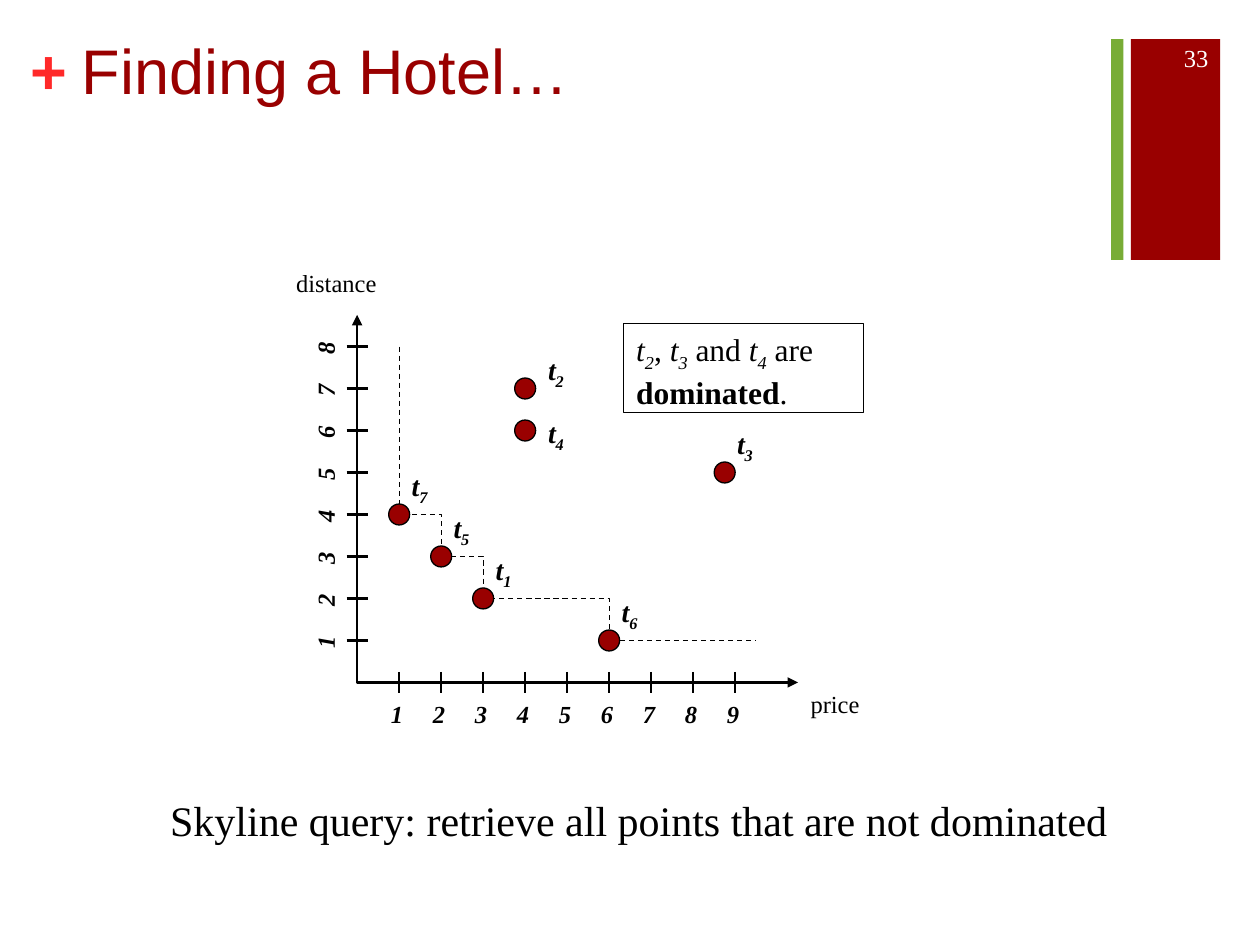
from collections import namedtuple
from dataclasses import dataclass

from lxml import etree
from pptx import Presentation
from pptx import util as u
from pptx.dml.color import RGBColor
from pptx.enum import dml, shapes, text
from pptx.oxml import ns

Box = namedtuple("Box", "left top width height")
Point = namedtuple("Point", "number price distance shift", defaults=[(0, 1.25)])


@dataclass(frozen=True)
class Theme:
    dark_red: str = "990000"
    bright_red: str = "FF2929"
    green: str = "78AC35"
    black: str = "000000"
    white: str = "FFFFFF"
    sans: str = "Arial"
    serif: str = "Times New Roman"
    title: int = 36
    statement: int = 24
    legend: int = 18
    point: int = 16
    small: int = 14
    axis_line: float = 1.5
    thin_line: float = 0.75


THEME = Theme()
TICK = 2.54 / 3  # centimetres for one step on either axis
TICK_SIZE = TICK / 2
PRICES, DISTANCES = range(1, 10), range(1, 9)
SKYLINE = [Point("7", 1, 4), Point("5", 2, 3), Point("1", 3, 2), Point("6", 6, 1)]
DOMINATED = [
    Point("4", 4, 6, (0.25, 0.5)),
    Point("2", 4, 7, (0.25, 1)),
    Point("3", 8.75, 5),
]


def lengths(*values):
    return [u.Cm(value) for value in values]


def add_child(parent, tag, **attributes):
    return etree.SubElement(parent, ns.qn(tag), **attributes)


def write(frame, content, size, color=THEME.black, font=THEME.serif, bold=False,
          italic=False, align=text.PP_ALIGN.LEFT, anchor=text.MSO_ANCHOR.TOP,
          inset=(0.25, 0.13)):
    """Write a string, or a list of (string, format) pairs, as one paragraph."""
    frame.word_wrap = True
    frame.vertical_anchor = anchor
    frame.margin_left = frame.margin_right = u.Cm(inset[0])
    frame.margin_top = frame.margin_bottom = u.Cm(inset[1])
    paragraph = frame.paragraphs[0]
    paragraph.alignment = align
    for words, style in [(content, {})] if isinstance(content, str) else content:
        run = paragraph.add_run()
        run.text = words
        run.font.size = u.Pt(size)
        run.font.name = font
        run.font.color.rgb = RGBColor.from_string(color)
        run.font.bold = style.get("bold", bold)
        run.font.italic = style.get("italic", italic)
        if style.get("subscript"):
            run.font._element.set("baseline", "-25000")
    return paragraph


def add_text(slide, box, content, size, **style):
    shape = slide.shapes.add_textbox(*lengths(*box))
    write(shape.text_frame, content, size, **style)
    return shape


def paint(shape, fill=None, line=None, width=THEME.thin_line):
    shape.shadow.inherit = False
    if fill:
        shape.fill.solid()
        shape.fill.fore_color.rgb = RGBColor.from_string(fill)
    else:
        shape.fill.background()
    if line:
        shape.line.color.rgb = RGBColor.from_string(line)
        shape.line.width = u.Pt(width)
    else:
        shape.line.fill.background()


def add_shape(slide, kind, box, **style):
    shape = slide.shapes.add_shape(kind, *lengths(*box))
    paint(shape, **style)
    return shape


def add_path(slide, points, width):
    start, *rest = [lengths(*point) for point in points]
    builder = slide.shapes.build_freeform(*start, scale=1.0)
    builder.add_line_segments(rest, close=False)
    shape = builder.convert_to_shape()
    paint(shape, line=THEME.black, width=width)
    return shape


def add_tick(slide, x1, y1, x2, y2):
    tick = slide.shapes.add_connector(
        shapes.MSO_CONNECTOR.STRAIGHT, *lengths(x1, y1, x2, y2))
    tick.line.color.rgb = RGBColor.from_string(THEME.black)
    tick.line.width = u.Pt(THEME.axis_line)
    add_child(tick._element.spPr, "a:effectLst")


def add_scale(slide, box, numbers, rotation=0):
    """Number an axis in one text box with a tab stop for each tick."""
    shape = add_text(slide, box, "\t".join(map(str, numbers)), THEME.small,
                     bold=True, italic=True)
    shape.rotation = rotation
    properties = shape.text_frame.paragraphs[0]._p.get_or_add_pPr()
    stops = add_child(properties, "a:tabLst")
    for step in range(1, len(numbers)):
        add_child(stops, "a:tab", pos=str(u.Cm(step * TICK)), algn="l")


def term(number):
    return [("t", {"italic": True}), (number, {"italic": True, "subscript": True})]


def add_header(slide, box):
    add_text(slide, Box(box.left, box.top + 0.13, 0.9, 1.55), "+", THEME.title,
             color=THEME.bright_red, font=THEME.sans, bold=True, inset=(0, 0))
    add_text(slide, Box(box.left + 0.79, box.top, box.width - 0.79, box.height),
             "Finding a Hotel…", THEME.title, color=THEME.dark_red, font=THEME.sans)


def add_page_marker(slide, box):
    rectangle = shapes.MSO_SHAPE.RECTANGLE
    add_shape(slide, rectangle, Box(box.left, box.top, 0.25, box.height),
              fill=THEME.green)
    add_shape(slide, rectangle,
              Box(box.left + 0.4, box.top, box.width - 0.4, box.height),
              fill=THEME.dark_red)
    add_text(slide, Box(box.left + 0.66, box.top - 0.13, 1.55, 1.02), "33",
             THEME.small, color=THEME.white, align=text.PP_ALIGN.RIGHT,
             anchor=text.MSO_ANCHOR.MIDDLE)


def add_plot(slide, box):
    """Draw axes, skyline and points; the origin is the box's lower left corner."""
    bottom, right = box.top + box.height, box.left + box.width

    def place(price, distance):
        return box.left + price * TICK, bottom - distance * TICK

    add_scale(slide, Box(box.left + 0.43, bottom + 0.21, 8, 0.86), PRICES)
    add_scale(slide, Box(box.left - 4.02, bottom - 4.24, 6.76, 0.86), DISTANCES, 270)

    corners = [(SKYLINE[0].price, 8)]
    for point in SKYLINE:
        corners += [(point.price, corners[-1][1]), (point.price, point.distance)]
    corners.append((9.5, SKYLINE[-1].distance))
    skyline = add_path(slide, [place(*corner) for corner in corners[1:]],
                       THEME.thin_line)
    skyline.line.dash_style = dml.MSO_LINE.DASH

    axes = add_path(slide, [(box.left, box.top), (box.left, bottom), (right, bottom)],
                    THEME.axis_line)
    for end in ("a:headEnd", "a:tailEnd"):
        add_child(axes.line._get_or_add_ln(), end, type="triangle")

    half = TICK_SIZE / 2
    for price in PRICES:
        x, y = place(price, 0)
        add_tick(slide, x, y - half, x, y + half)
    for distance in DISTANCES:
        x, y = place(0, distance)
        add_tick(slide, x - half, y, x + half, y)

    for point in SKYLINE + DOMINATED:
        x, y = place(point.price, point.distance)
        add_shape(slide, shapes.MSO_SHAPE.OVAL,
                  Box(x - half, y - half, TICK_SIZE, TICK_SIZE),
                  fill=THEME.dark_red, line=THEME.black)
        across, up = point.shift
        add_text(slide, Box(x + across * TICK, y - up * TICK, 0.91, 0.94),
                 term(point.number), THEME.point, bold=True)

    legend = add_shape(slide, shapes.MSO_SHAPE.RECTANGLE,
                       Box(*place(6.35, 8.55), 4.83, 1.8), line=THEME.black)
    write(legend.text_frame,
          [*term("2"), (", ", {}), *term("3"), (" and ", {}), *term("4"),
           (" are ", {}), ("dominated", {"bold": True}), (".", {})], THEME.legend)
    add_text(slide, Box(right, bottom, 1.8, 0.86), "price", THEME.small)
    add_text(slide, Box(box.left - 1.48, box.top - 1.07, 2.74, 0.86), "distance",
             THEME.small)


def main():
    presentation = Presentation()
    presentation.slide_width, presentation.slide_height = lengths(25.4, 19.05)
    slide = presentation.slides.add_slide(presentation.slide_layouts[6])
    add_page_marker(slide, Box(22.4, 0.79, 2.2, 4.45))
    add_header(slide, Box(0.61, 0.51, 21.77, 3.1))
    add_plot(slide, Box(7.2, 6.35, 10.5 * TICK, 8.75 * TICK))
    add_text(slide, Box(3.18, 15.88, 20.52, 1.27),
             "Skyline query: retrieve all points that are not dominated",
             THEME.statement)
    presentation.save("out.pptx")


if __name__ == "__main__":
    main()
